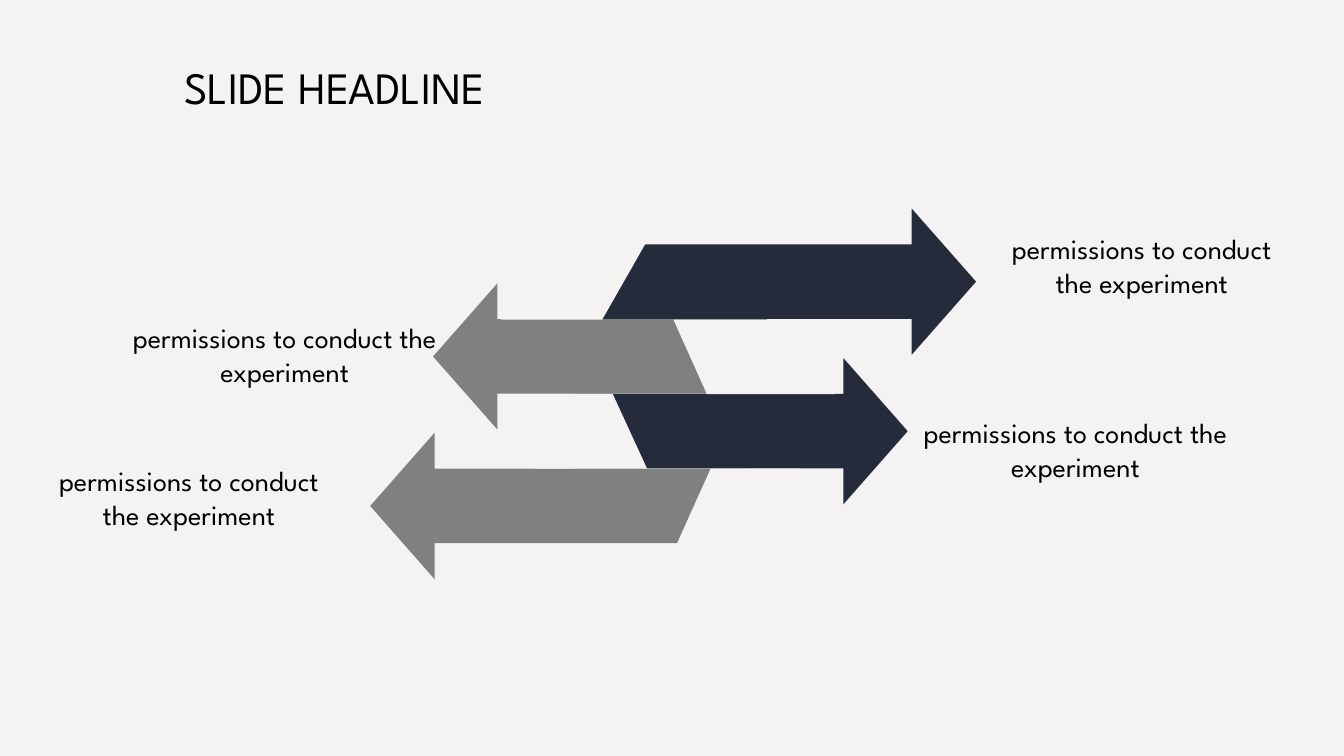
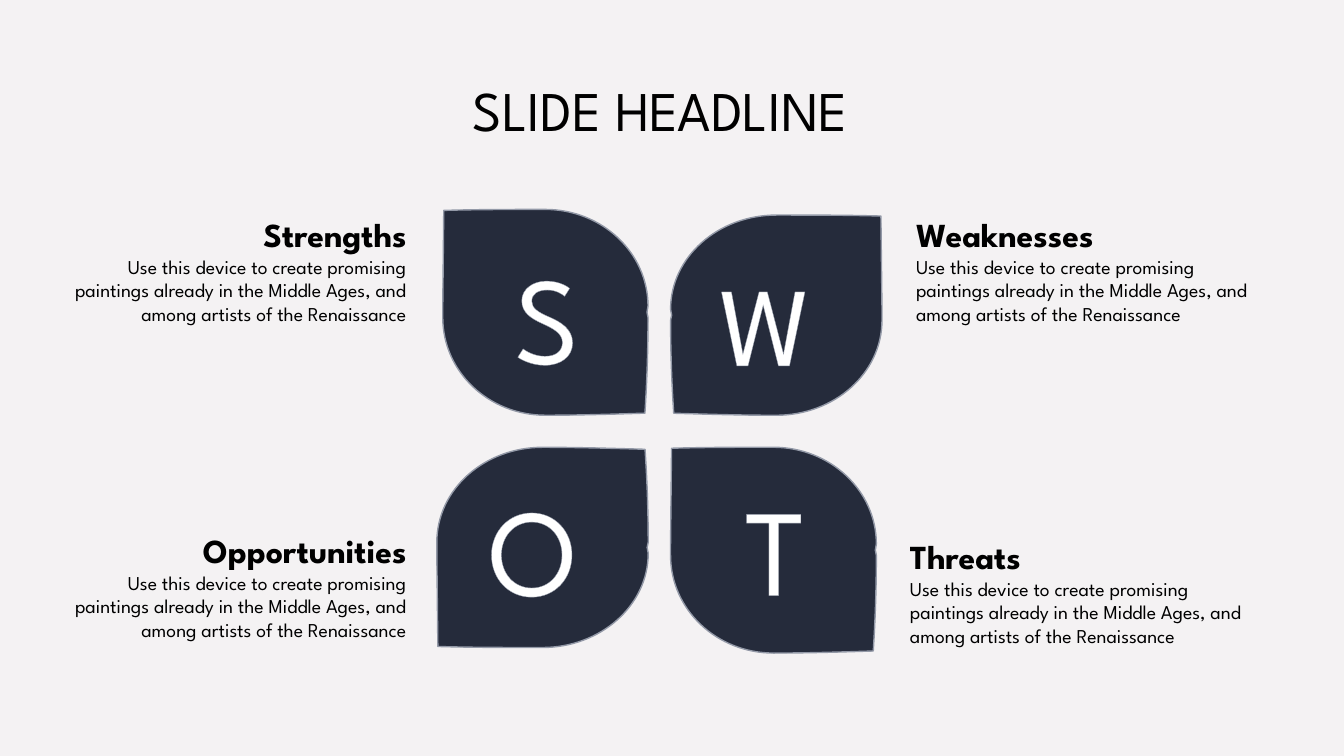
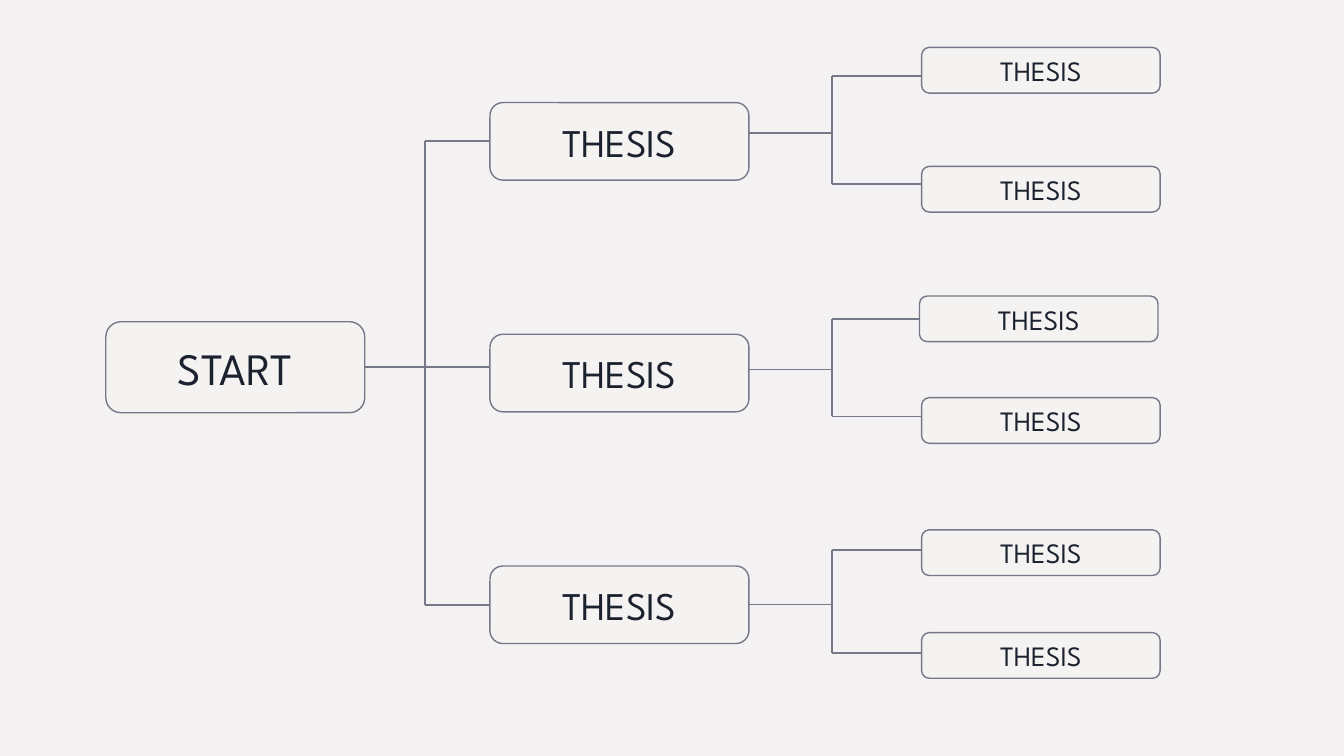
import lxml.etree
import pptx
import pptx.dml.color
import pptx.enum.shapes
import pptx.enum.text
import pptx.oxml
import pptx.oxml.ns
import pptx.util

Pt = pptx.util.Pt
qn = pptx.oxml.ns.qn
ALIGN = pptx.enum.text.PP_ALIGN
GROW = pptx.enum.text.MSO_AUTO_SIZE.SHAPE_TO_FIT_TEXT
SHAPE = pptx.enum.shapes.MSO_SHAPE
FONT = "League Spartan"
COLORS = {
    "background": "F4F2F3", "panel": "F4F3F2", "navy": "252B3B", "gray": "808080",
    "petal line": "9399A7", "box line": "757887", "box text": "1B212E",
    "black": "000000", "white": "FFFFFF",
}
RGB = {name: pptx.dml.color.RGBColor.from_string(code) for name, code in COLORS.items()}


def write(para, text, size, color="black", align=ALIGN.LEFT, bold=False):
    para.alignment = align
    span = para.add_run()
    span.text = text
    span.font.name = FONT
    span.font.size = Pt(size)
    span.font.bold = bold
    span.font.color.rgb = RGB[color]
    return span


def paint(shape, fill, line=None):
    shape.shadow.inherit = False
    shape.fill.solid()
    shape.fill.fore_color.rgb = RGB[fill]
    if line:
        shape.line.color.rgb = RGB[line]
        shape.line.width = Pt(1)
    else:
        shape.line.fill.background()


# Shared setup: size, background, headlines
deck = pptx.Presentation()
deck.slide_width, deck.slide_height = Pt(960), Pt(540)
deck.slide_master.background.fill.solid()
deck.slide_master.background.fill.fore_color.rgb = RGB["background"]
title_layout, blank_layout = deck.slide_layouts[5], deck.slide_layouts[6]

headline_pages = []
for left, top, width, height, size in [(124.5, 39, 369, 46, 32), (330.5, 50.4, 334, 55.4, 40)]:
    page = deck.slides.add_slide(title_layout)
    title = page.shapes.title
    title.left, title.top, title.width, title.height = Pt(left), Pt(top), Pt(width), Pt(height)
    frame = title.text_frame
    frame.auto_size = GROW
    frame.vertical_anchor = pptx.enum.text.MSO_ANCHOR.TOP
    write(frame.paragraphs[0], "SLIDE HEADLINE", size)
    headline_pages.append(page)
arrow_page, swot_page = headline_pages

# Slide 1: interlocking arrows, alternately right and left
arrows = [(418, 279.2), (309.3, 238.4), (410, 238.4), (264.4, 270.6)]
for index, (left, width) in enumerate(arrows):
    arrow = arrow_page.shapes.add_shape(
        SHAPE.RIGHT_ARROW, Pt(left), Pt(149 + 53.4 * index), Pt(width), Pt(104.4))
    arrow.adjustments[0], arrow.adjustments[1] = 0.51, 0.44
    arrow.rotation = 180 * (index % 2)
    paint(arrow, "gray" if index % 2 else "navy")

# Slanted panels that cut the arrow tails
panels = [
    (357.8, 172.1, 104.4, 56.2, 0.57, False),
    (357.8, 281.5, 104.4, 53.3, 0.46, True),
    (481, 228.3, 115.2, 53.3, 0.45, True),
    (481.7, 334.8, 90, 57.6, 0.45, False),
]
for left, top, width, height, slant, flipped in panels:
    panel = arrow_page.shapes.add_shape(
        SHAPE.PARALLELOGRAM, Pt(left), Pt(top), Pt(width), Pt(height))
    panel.adjustments[0] = slant
    paint(panel, "panel")
    if flipped:
        panel._element.spPr.xfrm.set("flipV", "1")

# Arrow labels
labels = [
    (711.6, 162, 208, 80), (25.2, 327.6, 219.6, 80),
    (644.7, 293.4, 247, 55.4), (81.4, 225.4, 244, 55.4),
]
for left, top, width, height in labels:
    box = arrow_page.shapes.add_textbox(Pt(left), Pt(top), Pt(width), Pt(height))
    box.text_frame.word_wrap = True
    box.text_frame.auto_size = GROW
    write(box.text_frame.paragraphs[0], "permissions to conduct the experiment", 20,
          align=ALIGN.CENTER)

# Slide 2: one petal outline on a 200-unit square; one point is a line, three a curve
petal_start = (100, 0)
petal_steps = [
    [(155, 0), (200, 42), (200, 94)],
    [(199, 100)],
    [(200, 105)],
    [(200, 136), (199, 167), (197, 198)],
    [(165, 199), (132, 200), (100, 200)],
    [(45, 200), (0, 158), (0, 105)],
    [(0, 100)],
    [(0, 94)],
    [(1, 1)],
    [(34, 0), (67, 0), (100, 0)],
]

# Petal box, mirroring, letter position and size, description position
quadrants = [
    ("Strengths", (316.3, 149.6, 146.6, 147), False, False, (360.5, 168.4, 88), (28.2, 149.5)),
    ("Weaknesses", (479, 153.6, 151, 143), True, False, (506.9, 177.8, 80), (647.2, 149.5)),
    ("Opportunities", (312, 319.5, 151, 143), False, True, (342, 334, 88), (28.2, 375.2)),
    ("Threats", (479, 319.5, 147, 147), False, False, (525, 334, 88), (642.9, 379.5)),
]
description = ("Use this device to create promising paintings already in the Middle Ages, "
               "and among artists of the Renaissance")
for name, (left, top, width, height), mirror_x, mirror_y, letter, note in quadrants:
    corners = [
        (Pt(left + width * (200 - x if mirror_x else x) / 200),
         Pt(top + height * (200 - y if mirror_y else y) / 200))
        for x, y in sum(petal_steps, [petal_start])]
    builder = swot_page.shapes.build_freeform(*corners[0])
    builder.add_line_segments(corners[1:], close=True)
    petal = builder.convert_to_shape()
    paint(petal, "navy", "petal line")
    # Join the three segments of each curved step into one cubic curve
    segments = iter(list(petal._element.iter(qn("a:lnTo"))))
    for step in petal_steps:
        group = [next(segments) for point in step]
        if len(group) == 3:
            curve = lxml.etree.Element(qn("a:cubicBezTo"))
            group[0].addprevious(curve)
            for segment in group:
                curve.append(segment[0])
                segment.getparent().remove(segment)

    letter_left, letter_top, size = letter
    box = swot_page.shapes.add_textbox(Pt(letter_left), Pt(letter_top), Pt(95), Pt(size * 1.3))
    box.text_frame.word_wrap = True
    box.text_frame.auto_size = GROW
    span = write(box.text_frame.paragraphs[0], name[0], size, "white")
    # Thin letter outline
    outline = pptx.oxml.parse_xml(
        f'<a:ln {pptx.oxml.ns.nsdecls("a")} w="9525"><a:solidFill>'
        f'<a:srgbClr val="{COLORS["petal line"]}"/></a:solidFill></a:ln>')
    span.font._element.insert(0, outline)

    note_left, note_top = note
    on_left = note_left < 480
    align = ALIGN.RIGHT if on_left else ALIGN.LEFT
    note_width, note_height = (269.3, 104.4) if on_left else (265.7, 121)
    box = swot_page.shapes.add_textbox(
        Pt(note_left), Pt(note_top), Pt(note_width), Pt(note_height))
    box.text_frame.word_wrap = True
    box.text_frame.auto_size = GROW
    write(box.text_frame.paragraphs[0], name, 24, align=align, bold=True)
    write(box.text_frame.add_paragraph(), description, 14, align=align)

# Slide 3: tree of boxes, given as text, size, left, middle, width, height
tree_page = deck.slides.add_slide(blank_layout)
branch_middles = [101 + 165.5 * index for index in range(3)]
leaves = [(658.3, 50.2), (658.3, 135.2), (656.8, 227.8),
          (658.3, 300.4), (658.3, 394.8), (658.3, 468.2)]
nodes = [("START", 32, 75.6, 262.3, 185, 65)]
nodes += [("THESIS", 28, 350, middle, 185, 55.4) for middle in branch_middles]
nodes += [("THESIS", 20, left, middle, 170.4, 32.6) for left, middle in leaves]
joints = {}
for text, size, left, middle, width, height in nodes:
    box = tree_page.shapes.add_shape(
        SHAPE.ROUNDED_RECTANGLE, Pt(left), Pt(middle - height / 2), Pt(width), Pt(height))
    paint(box, "panel", "box line")
    box.text_frame.vertical_anchor = pptx.enum.text.MSO_ANCHOR.MIDDLE
    write(box.text_frame.paragraphs[0], text, size, "box text", ALIGN.CENTER)
    joints[left, middle] = (box, 1)
    joints[left + width, middle] = (box, 3)

# Lines as start, end and weight: trunk first, then one fork per branch
trunk_x, branch_x, fork_x, leaf_x = 303.4, 350, 594.3, 658.3
first, last = branch_middles[0], branch_middles[-1]
lines = [
    ((260.6, 262.3), (branch_x, 262.3), 1.5),
    ((trunk_x, first), (trunk_x, last), 1.5),
    ((trunk_x, first), (branch_x, first), 1.5),
    ((trunk_x, last), (branch_x, last), 1.5),
]
forks = [(95, 54.2, 131.4), (264.1, 227.8, 297.3), (last, 392.8, 466.4)]
for stem, upper, lower in forks:
    upper_x = 656.8 if (656.8, upper) in joints else leaf_x
    lines += [
        ((535, stem), (fork_x, stem), 1),
        ((fork_x, upper), (fork_x, lower), 1),
        ((upper_x, upper), (fork_x, upper), 1),
        ((leaf_x, lower), (fork_x, lower), 1),
    ]
for start, end, weight in lines:
    line = tree_page.shapes.add_connector(
        pptx.enum.shapes.MSO_CONNECTOR.STRAIGHT, *map(Pt, start + end))
    line.line.color.rgb = RGB["box line"]
    line.line.width = Pt(weight)
    lxml.etree.SubElement(line._element.spPr, qn("a:effectLst"))
    if start in joints:
        line.begin_connect(*joints[start])
    if end in joints:
        line.end_connect(*joints[end])

deck.save("out.pptx")
